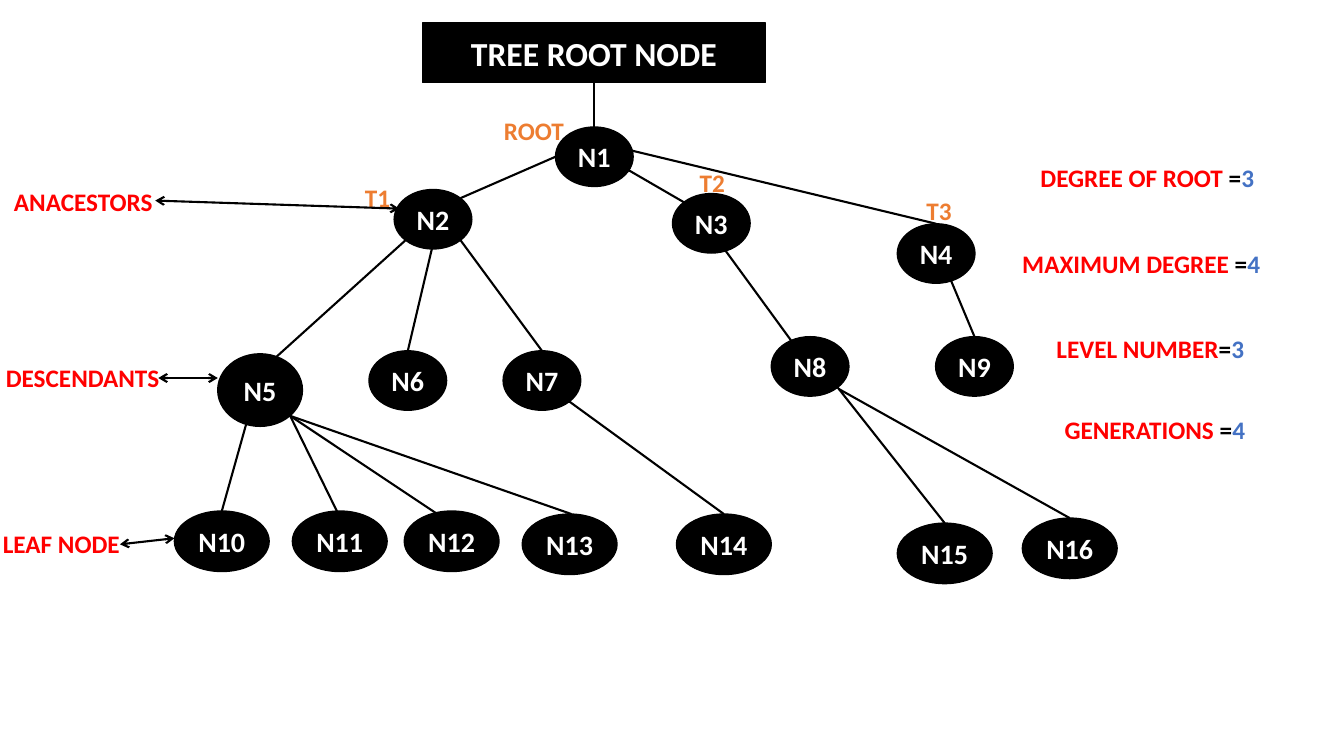
from dataclasses import dataclass

from lxml.etree import SubElement
from pptx import Presentation
from pptx.dml.color import RGBColor
from pptx.enum.shapes import MSO_CONNECTOR, MSO_SHAPE
from pptx.enum.text import MSO_ANCHOR, MSO_AUTO_SIZE, PP_ALIGN
from pptx.oxml.ns import qn
from pptx.util import Inches, Pt

BLACK = RGBColor(0x00, 0x00, 0x00)
WHITE = RGBColor(0xFF, 0xFF, 0xFF)
RED = RGBColor(0xFF, 0x00, 0x00)
ORANGE = RGBColor(0xED, 0x7D, 0x31)
BLUE = RGBColor(0x44, 0x72, 0xC4)
FONT = "Calibri"

Point = tuple[float, float]

# Places on a node, in radii from its centre
TOP: Point = (0, -1)
LEFT: Point = (-1, 0)
TOP_LEFT: Point = (-0.71, -0.71)
TOP_RIGHT: Point = (0.71, -0.71)
BOTTOM_LEFT: Point = (-0.71, 0.71)
BOTTOM_RIGHT: Point = (0.71, 0.71)


@dataclass(frozen=True)
class Node:
    left: float
    top: float
    width: float = 0.77
    height: float = 0.59

    def place(self, offset: Point) -> Point:
        return (self.left + self.width / 2 * (1 + offset[0]),
                self.top + self.height / 2 * (1 + offset[1]))


@dataclass(frozen=True)
class Branch:
    parent: str
    leave: Point
    child: str
    arrive: Point = TOP


@dataclass(frozen=True)
class Label:
    runs: tuple[tuple[str, RGBColor], ...]
    left: float
    top: float
    width: float
    wrap: bool = True


def leaf(left: float, top: float) -> Node:
    return Node(left, top, 0.94, 0.6)


def tag(text: str, color: RGBColor, left: float, top: float,
        width: float, wrap: bool = True) -> Label:
    return Label(((text, color),), left, top, width, wrap)


def fact(name: str, equals: str, value: str, left: float, top: float,
         width: float) -> Label:
    return Label(((name, RED), (equals, BLACK), (value, BLUE)), left, top, width)


NODES = {
    "N1": Node(5.51, 1.26),
    "N2": Node(3.91, 1.88),
    "N3": Node(6.67, 1.92),
    "N4": Node(8.9, 2.22),
    "N5": Node(2.16, 3.51, 0.84, 0.72),
    "N6": Node(3.66, 3.48),
    "N7": Node(4.99, 3.48),
    "N8": Node(7.65, 3.34),
    "N9": Node(9.28, 3.34),
    "N10": leaf(1.73, 5.07),
    "N11": leaf(2.9, 5.07),
    "N12": leaf(4.01, 5.07),
    "N13": leaf(5.18, 5.1),
    "N14": leaf(6.71, 5.1),
    "N15": leaf(8.9, 5.19),
    "N16": leaf(10.14, 5.14),
}

BRANCHES = [
    Branch("N1", LEFT, "N2", TOP_RIGHT),
    Branch("N1", (0.84, 0.42), "N3", TOP_LEFT),
    Branch("N1", (0.92, -0.22), "N4"),
    Branch("N2", BOTTOM_LEFT, "N5", (0.17, -0.69)),
    Branch("N2", (0, 0.83), "N6"),
    Branch("N2", BOTTOM_RIGHT, "N7"),
    Branch("N3", (0.22, 0.66), "N8", (-0.3, -0.53)),
    Branch("N4", (0.38, 0.9), "N9"),
    Branch("N5", (-0.33, 0.94), "N10"),
    Branch("N5", BOTTOM_RIGHT, "N11", (-0.04, -0.93)),
    Branch("N5", BOTTOM_RIGHT, "N12", (-0.11, -0.7)),
    Branch("N5", BOTTOM_RIGHT, "N13", (0.04, -1)),
    Branch("N7", BOTTOM_RIGHT, "N14"),
    Branch("N8", BOTTOM_RIGHT, "N15"),
    Branch("N8", (0.74, 0.76), "N16"),
]

LABELS = [
    tag("ROOT", ORANGE, 4.9, 1.09, 1),
    tag("T1", ORANGE, 3.52, 1.76, 0.45, wrap=False),
    tag("T2", ORANGE, 6.84, 1.61, 0.45),
    tag("T3", ORANGE, 9.09, 1.89, 0.45),
    tag("ANACESTORS", RED, 0.04, 1.8, 1.72),
    tag("DESCENDANTS", RED, -0.04, 3.55, 1.83),
    tag("LEAF NODE", RED, -0.07, 5.19, 1.5),
    fact("DEGREE OF ROOT", " =", "3", 10.22, 1.56, 2.38),
    fact("MAXIMUM DEGREE ", "=", "4", 10.04, 2.41, 2.72),
    fact("LEVEL NUMBER", "=", "3", 10.38, 3.26, 2.09),
    fact("GENERATIONS", " =", "4", 10.46, 4.06, 2.09),
]

LEVEL_ARROWS: list[tuple[Point, Point]] = [
    ((1.54, 1.99), (3.96, 2.07)),
    ((1.57, 3.75), (2.16, 3.75)),
    ((1.19, 5.4), (1.73, 5.34)),
]


def add_run(paragraph, text: str, size: float, color: RGBColor) -> None:
    run = paragraph.add_run()
    run.text = text
    run.font.name = FONT
    run.font.size = Pt(size)
    run.font.bold = True
    run.font.color.rgb = color


def fill_black(shape, text: str, size: float) -> None:
    shape.fill.solid()
    shape.fill.fore_color.rgb = BLACK
    shape.line.color.rgb = BLACK
    shape.line.width = Pt(1)
    frame = shape.text_frame
    frame.vertical_anchor = MSO_ANCHOR.MIDDLE
    frame.auto_size = MSO_AUTO_SIZE.NONE
    paragraph = frame.paragraphs[0]
    paragraph.alignment = PP_ALIGN.CENTER
    add_run(paragraph, text, size, WHITE)


def draw_node(slide, name: str, node: Node) -> None:
    oval = slide.shapes.add_shape(
        MSO_SHAPE.OVAL, Inches(node.left), Inches(node.top),
        Inches(node.width), Inches(node.height))
    oval.shadow.inherit = False
    oval.text_frame.margin_left = oval.text_frame.margin_right = 0
    fill_black(oval, name, 20)


def draw_line(slide, start: Point, end: Point, arrows: bool = False) -> None:
    line = slide.shapes.add_connector(
        MSO_CONNECTOR.STRAIGHT, *map(Inches, start + end))
    line.line.color.rgb = BLACK
    line.line.width = Pt(1.5)
    if arrows:
        outline = line.line._get_or_add_ln()
        for end_tag in ("a:headEnd", "a:tailEnd"):
            SubElement(outline, qn(end_tag), type="arrow")
    SubElement(line._element.spPr, qn("a:effectLst"))


def draw_label(slide, label: Label) -> None:
    box = slide.shapes.add_textbox(
        Inches(label.left), Inches(label.top), Inches(label.width), Inches(0.4))
    box.text_frame.word_wrap = label.wrap
    box.text_frame.auto_size = MSO_AUTO_SIZE.SHAPE_TO_FIT_TEXT
    for text, color in label.runs:
        add_run(box.text_frame.paragraphs[0], text, 18, color)


def main() -> None:
    deck = Presentation()
    deck.slide_width, deck.slide_height = Inches(13.33), Inches(7.5)
    slide = deck.slides.add_slide(deck.slide_layouts[5])

    # Heading and its link to the root
    title = slide.shapes.title
    title.left, title.top = Inches(4.19), Inches(0.23)
    title.width, title.height = Inches(3.4), Inches(0.59)
    fill_black(title, "TREE ROOT NODE", 24)
    draw_line(slide, (5.89, 0.82), (5.89, 1.26))

    # Tree
    for name, node in NODES.items():
        draw_node(slide, name, node)
    for branch in BRANCHES:
        draw_line(slide, NODES[branch.parent].place(branch.leave),
                  NODES[branch.child].place(branch.arrive))

    # Labels and level arrows
    for label in LABELS:
        draw_label(slide, label)
    for start, end in LEVEL_ARROWS:
        draw_line(slide, start, end, arrows=True)

    deck.save("out.pptx")


if __name__ == "__main__":
    main()
